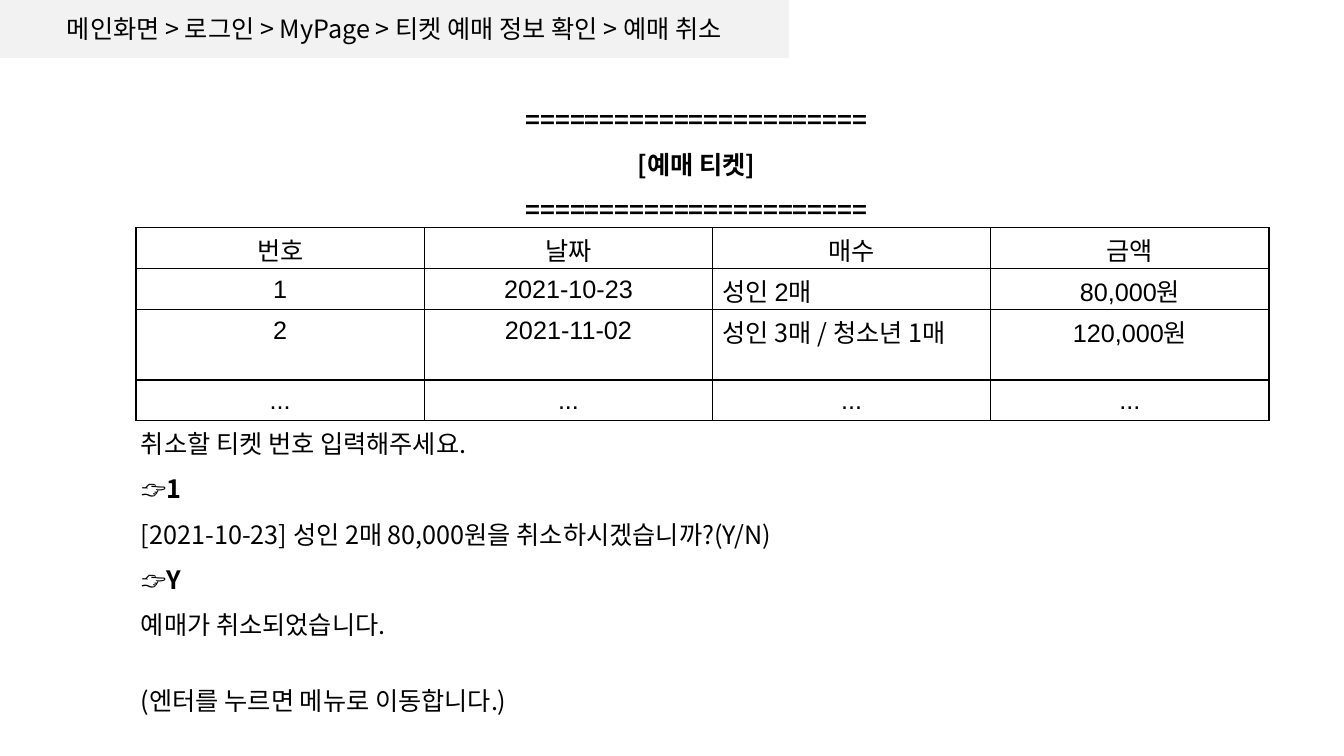
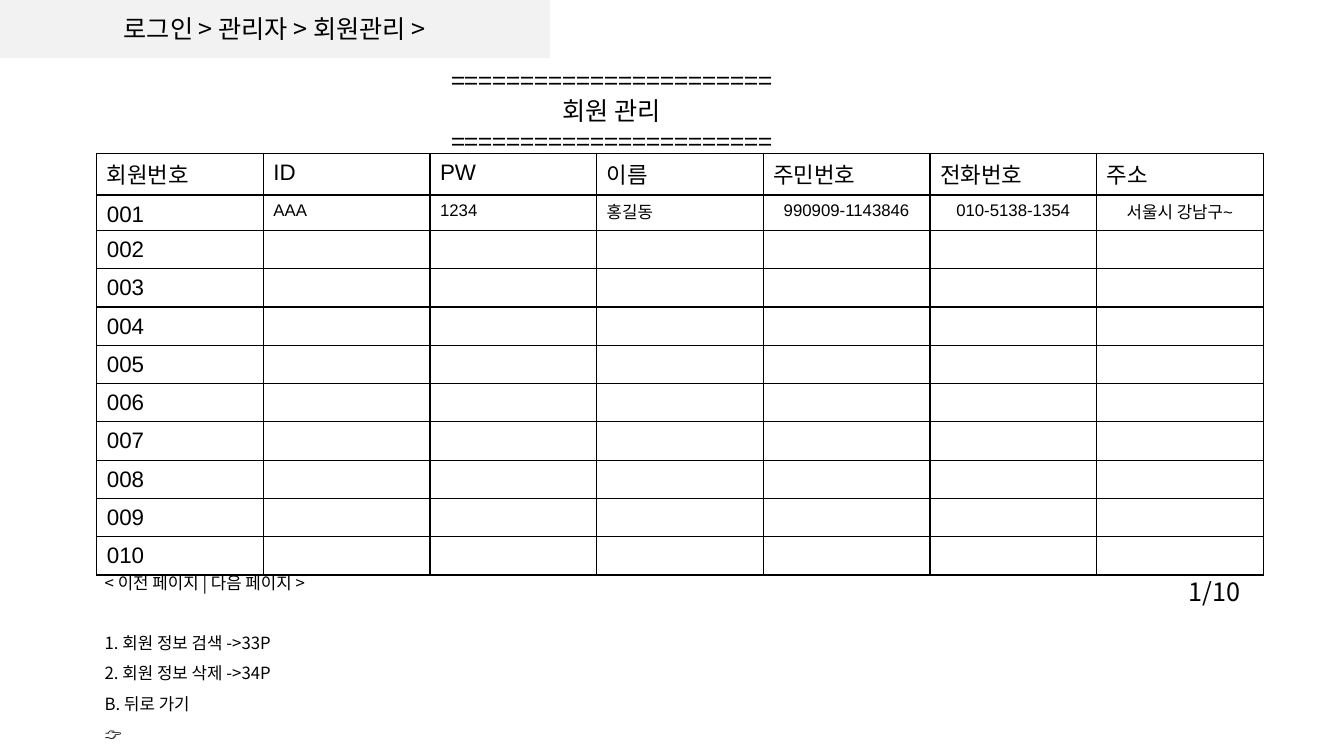
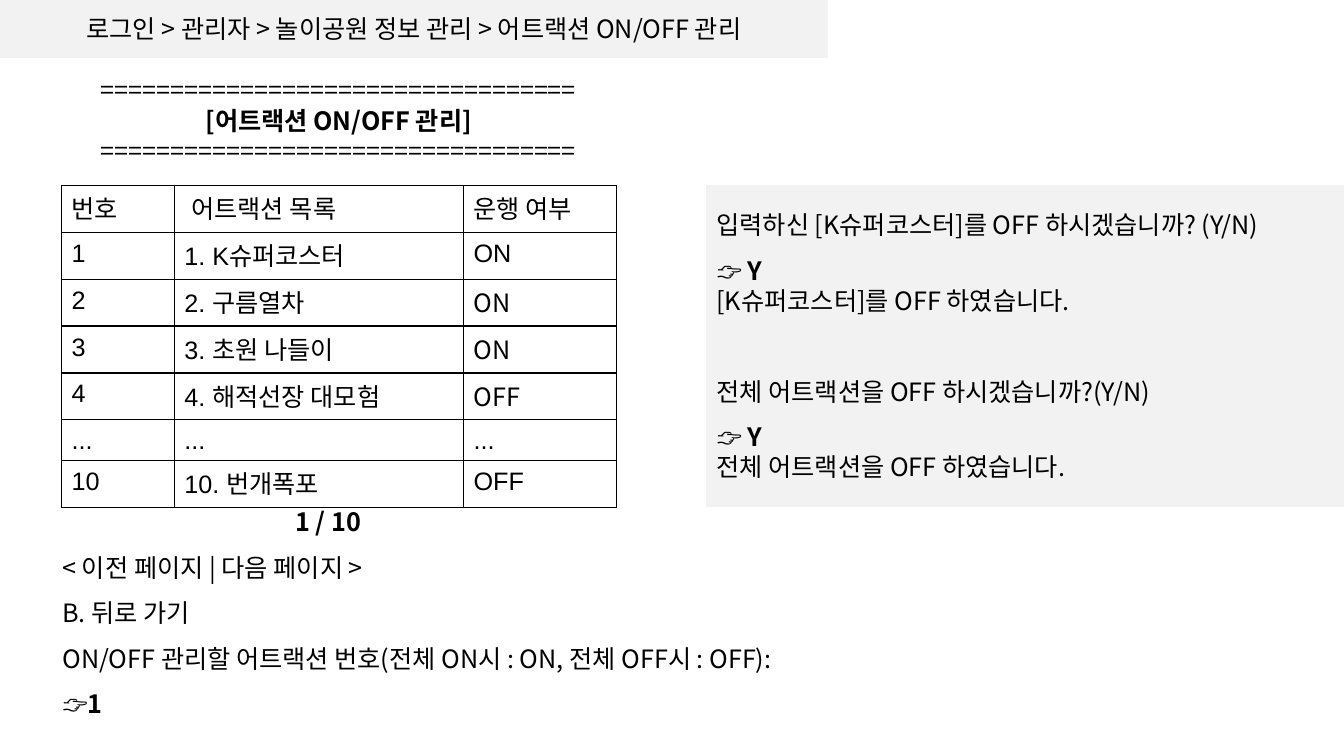
from dataclasses import dataclass, field, replace

from lxml import etree
from pptx import Presentation
from pptx.dml.color import RGBColor
from pptx.enum.shapes import MSO_SHAPE
from pptx.enum.text import MSO_ANCHOR, MSO_AUTO_SIZE, PP_ALIGN
from pptx.oxml.ns import qn
from pptx.util import Emu, Inches, Pt

LEFT, MID = PP_ALIGN.LEFT, PP_ALIGN.CENTER
TOP, CENTER = MSO_ANCHOR.TOP, MSO_ANCHOR.MIDDLE
FIXED = MSO_AUTO_SIZE.NONE
BAND = MSO_SHAPE.FLOWCHART_PROCESS

# Shared look: a grid of 40 columns by 30 rows
WIDE, HIGH = Inches(40 / 3), Inches(7.5)
COL, ROW = WIDE / 40, HIGH / 30
COLORS = {"ink": "000000", "band": "F2F2F2"}
SANS, CELL = "Noto Sans CJK KR", "Arial"
SIZE = 18
PITCH = 1.2
EDGES = ("a:lnL", "a:lnR", "a:lnT", "a:lnB")
FRAME = {"word_wrap": True, "auto_size": FIXED,
         "margin_left": Inches(0.1), "margin_right": Inches(0.1),
         "margin_top": Inches(0.05), "margin_bottom": Inches(0.05)}


@dataclass(frozen=True)
class Box:
    x: float
    y: float
    w: float
    h: float

    def place(self) -> tuple[Emu, Emu, Emu, Emu]:
        return (Emu(round(self.x * COL)), Emu(round(self.y * ROW)),
                Emu(round(self.w * COL)), Emu(round(self.h * ROW)))


@dataclass(frozen=True)
class Line:
    text: str
    bold: str = ""       # bold text after the plain text
    lead: float = 1.0    # line spacing
    gap: float = 0.0     # space before, in single lines


@dataclass(frozen=True)
class Style:
    size: int = SIZE
    font: str = CELL
    align: PP_ALIGN = LEFT
    pad: float = 0.1


@dataclass(frozen=True)
class Grid:
    x: float
    y: float
    cols: list[float]
    rows: list[float]
    cells: list[list[str]]
    base: Style = Style()
    looks: dict[tuple[int, int], dict] = field(default_factory=dict)


def color(name: str) -> RGBColor:
    return RGBColor.from_string(COLORS[name])


def apply(target, values: dict) -> None:
    for name, value in values.items():
        setattr(target, name, value)


def write(frame, lines: list[Line], size: int = SIZE, font: str = SANS,
          align: PP_ALIGN = LEFT) -> None:
    for i, line in enumerate(lines):
        para = frame.paragraphs[0] if i == 0 else frame.add_paragraph()
        step = size * PITCH
        apply(para, {"alignment": align, "line_spacing": Pt(step * line.lead),
                     "space_before": Pt(step * line.gap)})
        for text, bold in ((line.text, False), (line.bold, True)):
            if text:
                run = para.add_run()
                run.text = text
                apply(run.font, {"name": font, "size": Pt(size), "bold": bold})
                run.font.color.rgb = color("ink")


def add_text(slide, box: Box, lines: list[Line], size: int = SIZE) -> None:
    frame = slide.shapes.add_textbox(*box.place()).text_frame
    apply(frame, FRAME)
    write(frame, lines, size)


def add_title(slide, box: Box, lines: list[Line]) -> None:
    title = slide.shapes.title
    apply(title, dict(zip(("left", "top", "width", "height"), box.place())))
    apply(title.text_frame, FRAME | {"vertical_anchor": TOP})
    write(title.text_frame, lines, align=MID)


def add_band(slide, box: Box, lines: list[Line], align: PP_ALIGN) -> None:
    band = slide.shapes.add_shape(BAND, *box.place())
    band.shadow.inherit = False
    band.fill.solid()
    band.fill.fore_color.rgb = color("band")
    band.line.color.rgb = color("band")
    band.line.width = Pt(1)
    apply(band.text_frame, FRAME | {"vertical_anchor": CENTER})
    write(band.text_frame, lines, align=align)


def add_trail(slide, width: float, text: str) -> None:
    add_band(slide, Box(0, 0, width, 2.28), [Line(text)], MID)


def add_edges(cell) -> None:
    props = cell._tc.get_or_add_tcPr()
    for i, tag in enumerate(EDGES):
        edge = etree.Element(qn(tag), w=str(Pt(1)))
        fill = etree.SubElement(edge, qn("a:solidFill"))
        etree.SubElement(fill, qn("a:srgbClr"), val=COLORS["ink"])
        props.insert(i, edge)


def add_grid(slide, grid: Grid) -> None:
    box = Box(grid.x, grid.y, sum(grid.cols), sum(grid.rows))
    table = slide.shapes.add_table(len(grid.rows), len(grid.cols),
                                   *box.place()).table
    apply(table, {"first_row": False, "horz_banding": False})
    for col, width in zip(table.columns, grid.cols):
        col.width = Emu(round(width * COL))
    for row, height in zip(table.rows, grid.rows):
        row.height = Emu(round(height * ROW))
    for r, texts in enumerate(grid.cells):
        for c, text in enumerate(texts):
            cell = table.cell(r, c)
            style = replace(grid.base, **grid.looks.get((r, c), {}))
            # Korean glyphs sit lower than Arial ones
            tall = style.font == SANS or any("가" <= ch <= "힣" for ch in text)
            drop = 0.05 * style.size / SIZE if tall else 0
            apply(cell, {"margin_left": Inches(style.pad),
                         "margin_right": Inches(0.1),
                         "margin_top": Inches(0.05 + drop),
                         "margin_bottom": 0})
            cell.fill.background()
            add_edges(cell)
            write(cell.text_frame, [Line(text)], style.size, style.font,
                  style.align)


def cancel(slide) -> None:
    add_trail(slide, 23.46,
              "메인화면 > 로그인 > MyPage > 티켓 예매 정보 확인 > 예매 취소")
    rule = "=" * 23
    add_title(slide, Box(8.4, 3.92, 24.66, 5.2), [
        Line("", rule), Line("", "[예매 티켓]", 1.5), Line("", rule, 1.5)])
    add_grid(slide, Grid(
        4.05, 9.04, [8.58, 8.58, 8.28, 8.28], [1.62, 1.62, 2.8, 1.62],
        [["번호", "날짜", "매수", "금액"],
         ["1", "2021-10-23", "성인 2매", "80,000원"],
         ["2", "2021-11-02", "성인 3매 / 청소년 1매", "120,000원"],
         ["..."] * 4],
        Style(align=MID),
        {(1, 2): {"align": LEFT}, (2, 2): {"align": LEFT, "font": SANS}}))
    add_text(slide, Box(3.9, 16.2, 27.06, 13.8), [
        Line("취소할 티켓 번호 입력해주세요.", lead=1.5),
        Line("", "👉1", 1.5),
        Line("[2021-10-23] 성인 2매 80,000원을 취소하시겠습니까?(Y/N)", lead=1.5),
        Line("", "👉Y", 1.5),
        Line("예매가 취소되었습니다.", lead=1.5),
        Line("(엔터를 누르면 메뉴로 이동합니다.)", gap=1.5)])


def members(slide) -> None:
    add_trail(slide, 16.35, "로그인 > 관리자 > 회원관리 >")
    rule = "=" * 23
    add_title(slide, Box(11.85, 2.4, 12.72, 4),
              [Line(rule), Line("회원 관리"), Line(rule)])
    heads = ["회원번호", "ID", "PW", "이름", "주민번호", "전화번호", "주소"]
    first = ["001", "AAA", "1234", "홍길동", "990909-1143846",
             "010-5138-1354", "서울시 강남구~"]
    rest = [[f"{n:03}"] + [""] * 6 for n in range(2, 11)]
    looks = {(1, c): {"size": 12, "align": MID if c > 3 else LEFT}
             for c in range(1, 7)}
    add_grid(slide, Grid(2.88, 6.08, [4.96] * 7, [1.66, 1.4] + [1.52] * 9,
                         [heads, first, *rest], Style(16), looks))
    add_text(slide, Box(2.82, 22.12, 10.6, 7.5), [
        Line("< 이전 페이지 | 다음 페이지 >", lead=1.5),
        Line("1. 회원 정보 검색 ->33P", lead=1.5, gap=1.5),
        Line("2. 회원 정보 삭제 ->34P", lead=1.5),
        Line("B. 뒤로 가기", lead=1.5),
        Line("", "👉", 1.5)], 12)
    add_text(slide, Box(35.07, 22.68, 2.76, 1.6), [Line("1/10")])


def rides(slide) -> None:
    add_trail(slide, 24.63,
              "로그인 > 관리자 > 놀이공원 정보 관리 > 어트랙션 ON/OFF 관리")
    rule = "=" * 34
    add_title(slide, Box(1.8, 2.76, 16.56, 4.04), [
        Line(rule), Line("", "[어트랙션 ON/OFF 관리]"), Line(rule)])
    add_grid(slide, Grid(
        1.83, 7.36, [3.36, 8.61, 4.56], [1.86] * 5 + [1.62, 1.86],
        [["번호", "어트랙션 목록", "운행 여부"],
         ["1", "1. K슈퍼코스터", "ON"],
         ["2", "2. 구름열차", "ON"],
         ["3", "3. 초원 나들이", "ON"],
         ["4", "4. 해적선장 대모험", "OFF"],
         ["..."] * 3,
         ["10", "10. 번개폭포", "OFF"]],
        looks={(0, 1): {"pad": 0.17}}
        | {(r, 2): {"font": SANS} for r in (2, 3, 4)}))
    add_band(slide, Box(21.03, 7.36, 18.96, 12.72), [
        Line("입력하신 [K슈퍼코스터]를 OFF 하시겠습니까? (Y/N)"),
        Line("👉 ", "Y", 1.5),
        Line("[K슈퍼코스터]를 OFF 하였습니다."),
        Line("전체 어트랙션을 OFF 하시겠습니까?(Y/N)", gap=2),
        Line("👉 ", "Y", 1.5),
        Line("전체 어트랙션을 OFF 하였습니다.")], LEFT)
    add_text(slide, Box(8.49, 19.28, 3.21, 1.6), [Line("", "1 / 10", 1.5)])
    add_text(slide, Box(1.56, 21.72, 26.5, 6.5), [
        Line("< 이전 페이지 | 다음 페이지 >"),
        Line("B. 뒤로 가기", lead=1.5),
        Line("ON/OFF 관리할 어트랙션 번호(전체 ON시 : ON, 전체 OFF시 : OFF):",
             lead=1.5),
        Line("👉", "1", 1.5)])


def main() -> None:
    deck = Presentation()
    apply(deck, {"slide_width": WIDE, "slide_height": HIGH})
    for draw in (cancel, members, rides):
        draw(deck.slides.add_slide(deck.slide_layouts[5]))
    deck.save("out.pptx")


if __name__ == "__main__":
    main()
